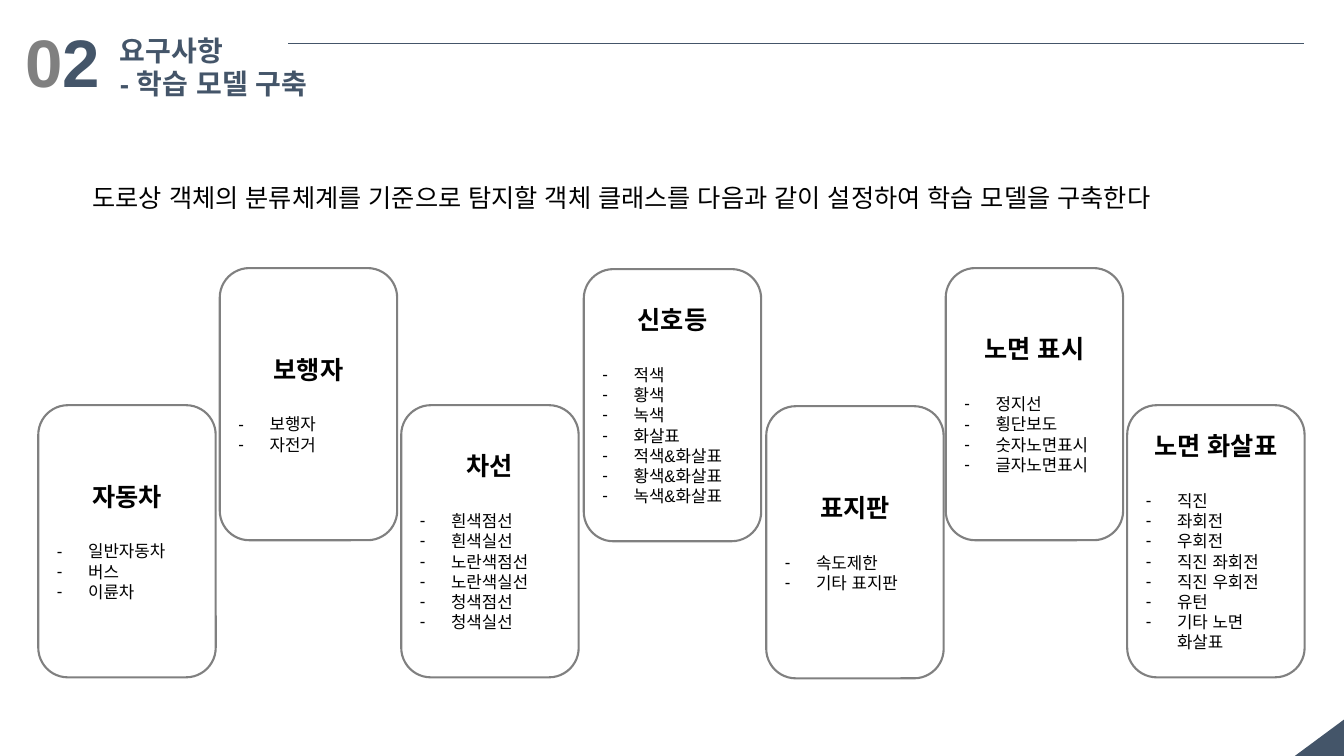
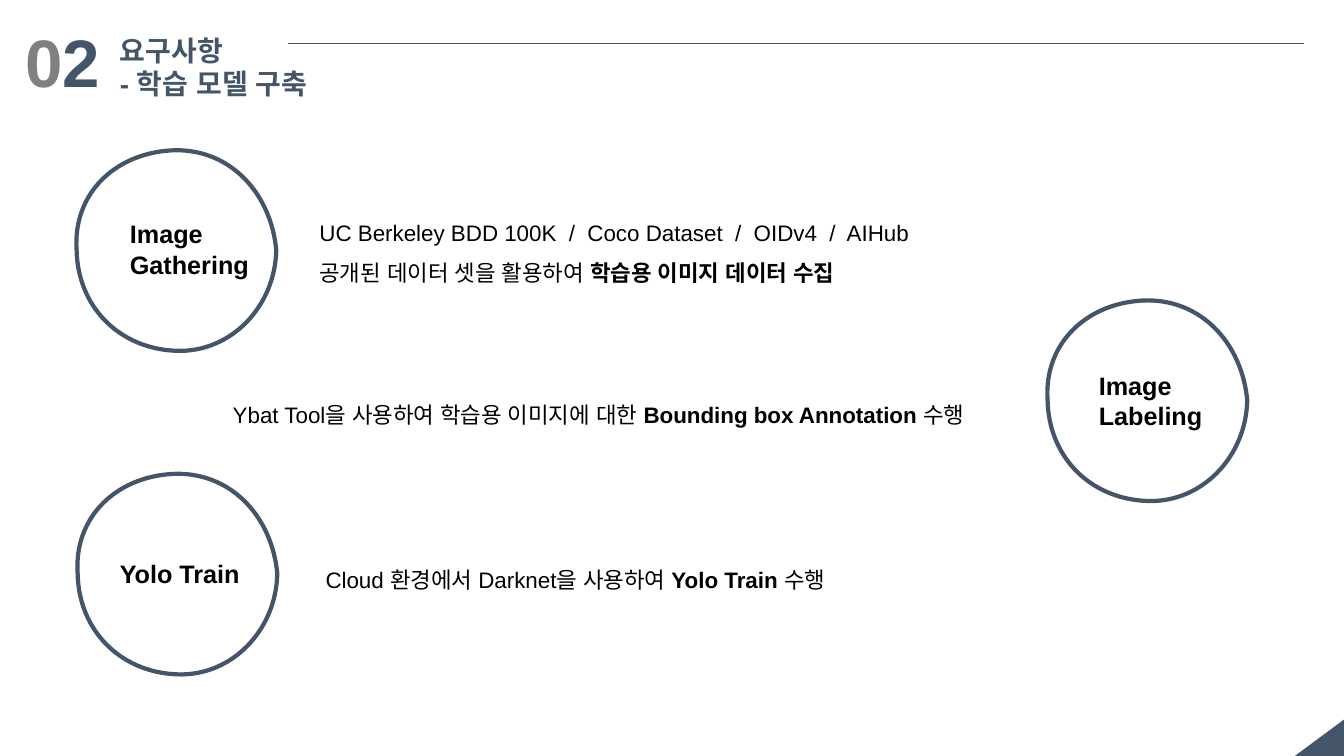
from lxml.etree import SubElement
from pptx import Presentation
from pptx.dml.color import RGBColor
from pptx.enum.shapes import MSO_CONNECTOR, MSO_SHAPE
from pptx.enum.text import MSO_ANCHOR, PP_ALIGN
from pptx.oxml.ns import qn
from pptx.util import Inches, Pt

NAVY = RGBColor(0x44, 0x55, 0x69)
GRAY = RGBColor(0x80, 0x80, 0x80)
BLACK = RGBColor(0, 0, 0)
FONT = "Arial"


def write(par, text, size, color=BLACK, bold=False):
    run = par.add_run()
    run.text = text
    run.font.name = FONT
    run.font.size = Pt(size)
    run.font.bold = bold
    run.font.color.rgb = color
    SubElement(run.font._element, qn("a:ea"), typeface=FONT)


def place(host, left, top, width, height, lines, size, gap=1):
    box = host.shapes.add_textbox(Inches(left), Inches(top), Inches(width), Inches(height))
    frame = box.text_frame
    frame.word_wrap = True
    for row, runs in enumerate(lines):
        par = frame.add_paragraph() if row else frame.paragraphs[0]
        if gap != 1:
            par.line_spacing = gap
        for text, color, bold in runs:
            write(par, text, size, color, bold)


deck = Presentation()
deck.slide_width = Inches(13.33)
deck.slide_height = Inches(7.5)
slides = [deck.slides.add_slide(deck.slide_layouts[6]) for _ in range(2)]

for slide in slides:
    corner = slide.shapes.add_shape(
        MSO_SHAPE.RIGHT_TRIANGLE, Inches(12.9), Inches(7.07), Inches(0.37), Inches(0.5))
    corner.rotation = 270
    corner.shadow.inherit = False
    corner.fill.solid()
    corner.fill.fore_color.rgb = NAVY
    corner.line.fill.background()
    place(slide, 0.15, 0.15, 1.27, 0.91, [[("0", GRAY, True), ("2", NAVY, True)]], 48)
    place(slide, 1.09, 0.28, 2.3, 0.77,
          [[("요구사항", NAVY, True)], [("- 학습 모델 구축", NAVY, True)]], 20)
    rule = slide.shapes.add_connector(
        MSO_CONNECTOR.STRAIGHT, Inches(2.86), Inches(0.43), Inches(12.93), Inches(0.43))
    rule.line.color.rgb = NAVY
    rule.line.width = Pt(0.75)
    SubElement(rule._element.spPr, qn("a:effectLst"))

first, second = slides

place(first, 0.82, 1.76, 11.89, 0.4, [[(
    "도로상 객체의 분류체계를 기준으로 탐지할 객체 클래스를 다음과 같이 설정하여 학습 모델을 구축한다",
    BLACK, False)]], 18)

cards = [
    (0.38, 4.02, "자동차", ["일반자동차", "버스", "이륜차"]),
    (2.18, 2.66, "보행자", ["보행자", "자전거"]),
    (3.98, 4.02, "차선", ["흰색점선", "흰색실선", "노란색점선", "노란색실선", "청색점선",
                        "청색실선"]),
    (5.79, 2.67, "신호등", ["적색", "황색", "녹색", "화살표", "적색&화살표", "황색&화살표",
                         "녹색&화살표"]),
    (7.6, 4.03, "표지판", ["속도제한", "기타 표지판"]),
    (9.38, 2.66, "노면 표시", ["정지선", "횡단보도", "숫자노면표시", "글자노면표시"]),
    (11.18, 4.02, "노면 화살표", ["직진", "좌회전", "우회전", "직진 좌회전", "직진 우회전",
                             "유턴", "기타 노면 화살표"]),
]
for left, top, name, items in cards:
    card = first.shapes.add_shape(
        MSO_SHAPE.ROUNDED_RECTANGLE, Inches(left), Inches(top), Inches(1.76), Inches(2.7))
    card.shadow.inherit = False
    card.fill.background()
    card.line.color.rgb = GRAY
    card.line.width = Pt(1.5)
    frame = card.text_frame
    frame.word_wrap = True
    frame.vertical_anchor = MSO_ANCHOR.MIDDLE
    head = frame.paragraphs[0]
    head.alignment = PP_ALIGN.CENTER
    write(head, name, 18, bold=True)
    for row, item in enumerate(items):
        par = frame.add_paragraph()
        par.alignment = PP_ALIGN.LEFT
        if row == 0:
            par.space_before = Pt(21.5)
        props = par._p.get_or_add_pPr()
        props.set("marL", str(Inches(0.31)))
        props.set("indent", str(-Inches(0.31)))
        SubElement(props, qn("a:buFont"), typeface=FONT)
        SubElement(props, qn("a:buChar"), char="-")
        write(par, item, 12)

start = (0, 0.99)
curves = [
    [(-0.04, 0.42), (0.4, 0.01), (0.99, 0)],
    [(1.55, 0), (1.93, 0.45), (1.98, 0.99)],
    [(1.97, 1.55), (1.53, 2.01), (0.99, 1.99)],
    [(0.42, 1.97), (0.01, 1.55), start],
]
stages = [
    ("Image Gathering", 0.76, 1.49, 1.19, 2.12, 0.71),
    ("Image Labeling", 10.39, 2.98, 10.8, 3.62, 0.71),
    ("Yolo Train", 0.77, 4.7, 1.09, 5.49, 0.4),
]
for name, left, top, textx, texty, height in stages:
    group = second.shapes.add_group_shape()
    place(group, textx, texty, 1.5, height, [[(name, BLACK, True)]], 18)
    spots = [(Inches(left + x), Inches(top + y))
             for x, y in [start] + [curve[-1] for curve in curves]]
    ring = group.shapes.build_freeform(*spots[0])
    ring.add_line_segments(spots[1:], close=True)
    blob = ring.convert_to_shape()
    lines = list(blob._element.iter(qn("a:lnTo")))
    for line, curve in zip(lines, curves):
        line.tag = qn("a:cubicBezTo")
        line.remove(line[0])
        for x, y in curve:
            SubElement(line, qn("a:pt"), x=str(Inches(x)), y=str(Inches(y)))
    blob.shadow.inherit = False
    blob.fill.background()
    blob.line.color.rgb = NAVY
    blob.line.width = Pt(3)

notes = [
    (3.07, 1.99, 9.85, 0.86, [
        [("UC Berkeley BDD 100K  /  Coco Dataset  /  OIDv4  /  AIHub", BLACK, False)],
        [("공개된 데이터 셋을 활용하여 ", BLACK, False),
         ("학습용 이미지 데이터 수집", BLACK, True)]]),
    (2.21, 3.8, 8.15, 0.45, [
        [("Ybat Tool을 사용하여 학습용 이미지에 대한 ", BLACK, False),
         ("Bounding box Annotation", BLACK, True), (" 수행", BLACK, False)]]),
    (3.13, 5.43, 5.62, 0.45, [
        [("Cloud 환경에서 Darknet을 사용하여 ", BLACK, False),
         ("Yolo Train ", BLACK, True), ("수행", BLACK, False)]]),
]
for left, top, width, height, lines in notes:
    place(second, left, top, width, height, lines, 16, 1.5)

deck.save("out.pptx")
